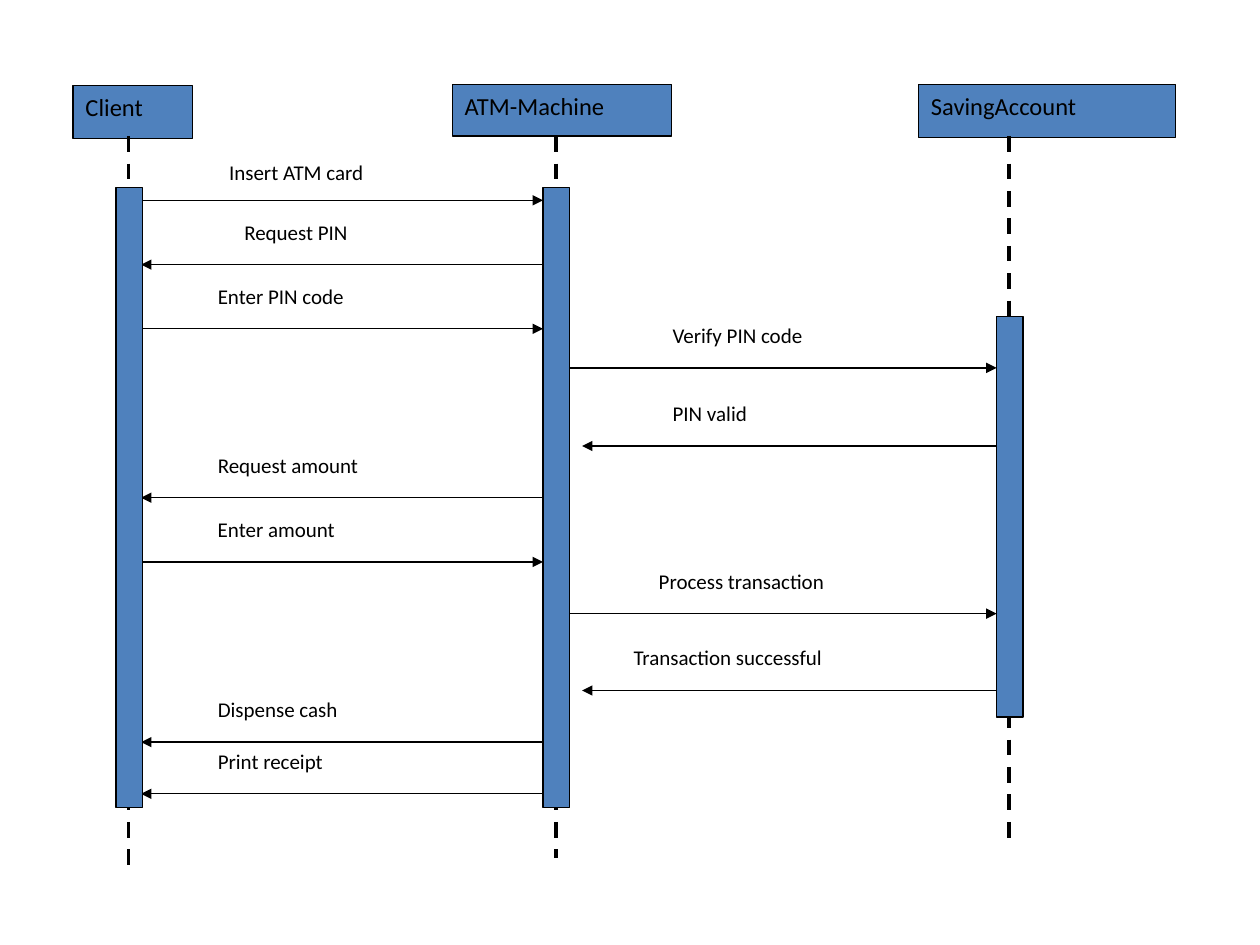
from lxml.etree import SubElement
from pptx import Presentation
from pptx.dml.color import RGBColor
from pptx.enum.dml import MSO_LINE
from pptx.enum.shapes import MSO_CONNECTOR, MSO_SHAPE
from pptx.enum.text import MSO_ANCHOR, PP_ALIGN
from pptx.oxml.ns import qn
from pptx.util import Inches, Pt

BLUE = RGBColor(0x4F, 0x81, 0xBD)
BLACK = RGBColor(0x00, 0x00, 0x00)
FONT = "Calibri"

# Lifeline centres
CLIENT, MACHINE, ACCOUNT = 1.02, 4.41, 8.01
HEADER_BOTTOM = 1.08
BAR_WIDTH = 0.21
HALF_BAR = 0.1

# Name, header (left, top, width, height), lifeline centre and end, bar top and height
PARTICIPANTS = [
    ("Client", (0.58, 0.68, 0.95, 0.42), CLIENT, 6.92, 1.49, 4.92),
    ("ATM-Machine", (3.59, 0.67, 1.74, 0.41), MACHINE, 6.81, 1.49, 4.92),
    ("SavingAccount", (7.29, 0.67, 2.04, 0.42), ACCOUNT, 6.71, 2.51, 3.18),
]

# Text, sender, receiver, arrow height, label left, label width
MESSAGES = [
    ("Insert ATM card", CLIENT, MACHINE, 1.59, 1.72, 1.9),
    ("Request PIN", MACHINE, CLIENT, 2.1, 1.84, 1.52),
    ("Enter PIN code", CLIENT, MACHINE, 2.61, 1.63, 1.79),
    ("Verify PIN code", MACHINE, ACCOUNT, 2.92, 5.24, 1.84),
    ("PIN valid", ACCOUNT, MACHINE, 3.54, 5.24, 1.17),
    ("Request amount", MACHINE, CLIENT, 3.95, 1.63, 1.95),
    ("Enter amount", CLIENT, MACHINE, 4.46, 1.63, 1.67),
    ("Process transaction", MACHINE, ACCOUNT, 4.87, 5.13, 2.26),
    ("Transaction successful", ACCOUNT, MACHINE, 5.48, 4.93, 2.57),
    ("Dispense cash", MACHINE, CLIENT, 5.89, 1.63, 1.72),
    ("Print receipt", MACHINE, CLIENT, 6.3, 1.63, 1.51),
]
LABEL_HEIGHT = 0.37
LABEL_RISE = 0.41


def write_text(shape, text, *, size, color=BLACK, font=FONT, align=PP_ALIGN.LEFT):
    frame = shape.text_frame
    frame.word_wrap = True
    frame.vertical_anchor = MSO_ANCHOR.TOP
    paragraph = frame.paragraphs[0]
    paragraph.alignment = align
    run = paragraph.add_run()
    run.text = text
    run.font.size = Pt(size)
    run.font.name = font
    run.font.color.rgb = color


class SequenceDiagram:
    """Holds the style and the slide that is being drawn."""

    def __init__(self, slide, fill=BLUE, line=BLACK):
        self.slide = slide
        self.fill = fill
        self.line = line

    def box(self, left, top, width, height):
        shape = self.slide.shapes.add_shape(
            MSO_SHAPE.RECTANGLE, Inches(left), Inches(top), Inches(width), Inches(height))
        shape.shadow.inherit = False
        shape.fill.solid()
        shape.fill.fore_color.rgb = self.fill
        shape.line.color.rgb = self.line
        shape.line.width = Pt(0.75)
        return shape

    def header(self, name, place):
        write_text(self.box(*place), name, size=14)

    def connector(self, start, end, width):
        connector = self.slide.shapes.add_connector(
            MSO_CONNECTOR.STRAIGHT, *(Inches(value) for value in (*start, *end)))
        connector.line.color.rgb = self.line
        connector.line.width = Pt(width)
        SubElement(connector.element.spPr, qn("a:effectLst"))
        return connector

    def lifeline(self, center, bottom):
        connector = self.connector((center, HEADER_BOTTOM), (center, bottom), 2.25)
        connector.line.dash_style = MSO_LINE.DASH

    def arrow(self, start, end, y):
        connector = self.connector((start, y), (end, y), 0.75)
        SubElement(connector.line._get_or_add_ln(), qn("a:tailEnd"), type="triangle")

    def label(self, text, left, top, width):
        text_box = self.slide.shapes.add_textbox(
            Inches(left), Inches(top), Inches(width), Inches(LABEL_HEIGHT))
        write_text(text_box, text, size=12)

    def message(self, text, sender, receiver, y, left, width):
        # Arrows stop at the bar edge; replies from the account stop a little before it
        gap = BAR_WIDTH if sender == ACCOUNT else HALF_BAR
        end = receiver - gap if sender < receiver else receiver + gap
        self.arrow(sender, end, y)
        rise = LABEL_HEIGHT if y == MESSAGES[0][3] else LABEL_RISE
        self.label(text, left, y - rise, width)


def main():
    presentation = Presentation()
    presentation.slide_width = Inches(10)
    presentation.slide_height = Inches(7.5)
    diagram = SequenceDiagram(presentation.slides.add_slide(presentation.slide_layouts[6]))

    # Participants and their lifelines
    for name, place, *_ in PARTICIPANTS:
        diagram.header(name, place)
    for _, _, center, bottom, *_ in PARTICIPANTS:
        diagram.lifeline(center, bottom)

    # Messages
    for message in MESSAGES:
        diagram.message(*message)

    # Activation bars cover the arrow starts
    for _, _, center, _, top, height in PARTICIPANTS:
        diagram.box(center - HALF_BAR, top, BAR_WIDTH, height)

    presentation.save("out.pptx")


if __name__ == "__main__":
    main()
